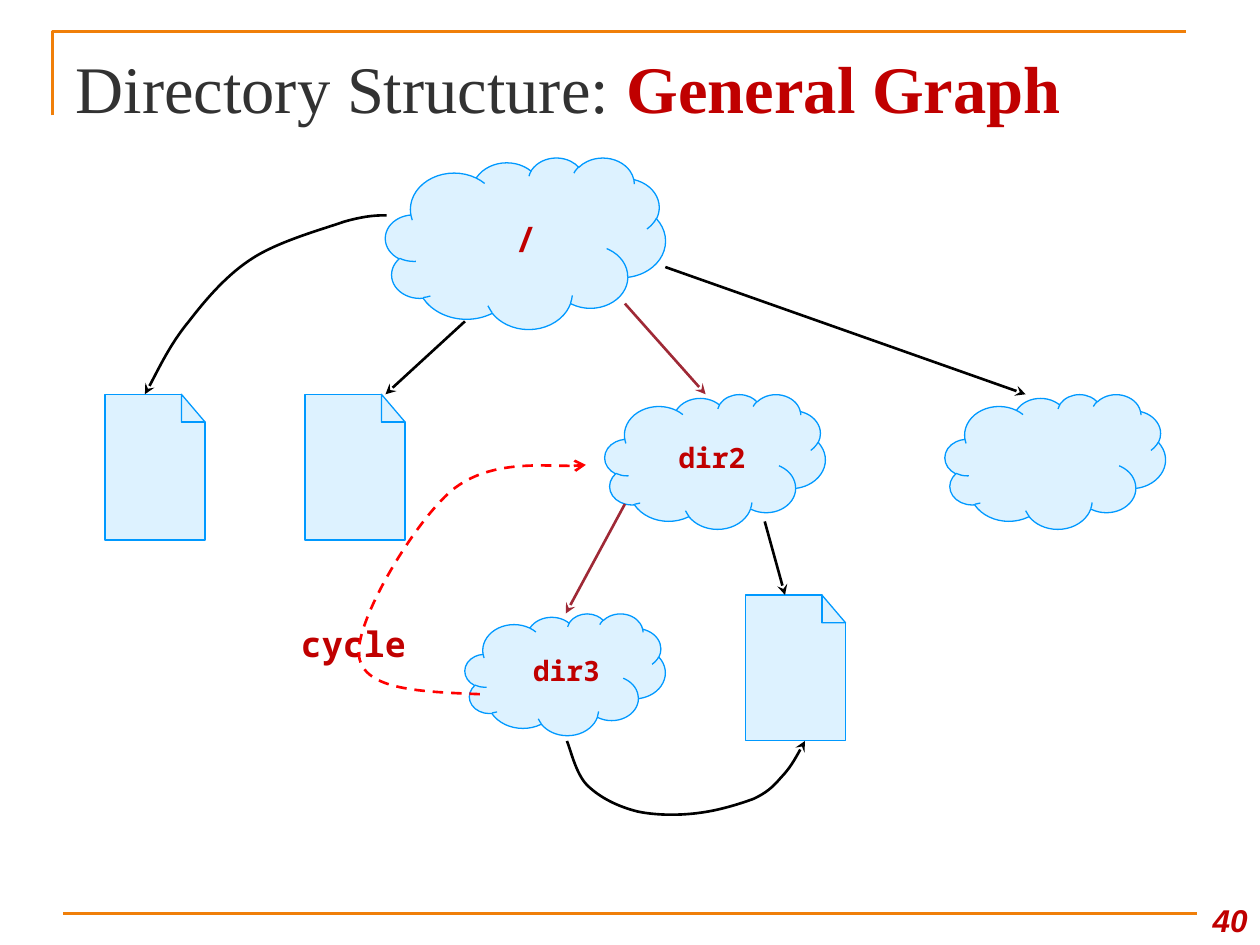
import pptx
import pptx.dml.color
import pptx.enum.dml
import pptx.enum.shapes
import pptx.enum.text
import pptx.oxml.ns
import pptx.util
from dataclasses import dataclass
from lxml import etree

Pt = pptx.util.Pt
Align = pptx.enum.text.PP_ALIGN
Anchor = pptx.enum.text.MSO_ANCHOR
qn = pptx.oxml.ns.qn


@dataclass(frozen=True)
class Theme:
    rule: str = "F07F09"
    title: str = "323232"
    accent: str = "C00000"
    node_fill: str = "DDF2FF"
    node_line: str = "0099FF"
    link: str = "000000"
    path_link: str = "9F2936"
    cycle: str = "FF0000"
    title_font: str = "Times New Roman"
    label_font: str = "Noto Sans Mono"
    number_font: str = "Arial"
    title_size: float = 38
    large_size: float = 20
    number_size: float = 18
    label_size: float = 16
    thin: float = 0.75
    thick: float = 1.5


THEME = Theme()


def rgb(color):
    return pptx.dml.color.RGBColor.from_string(color)


def add_text(paragraph, text, *, size, font, color, bold=False, italic=False, align=Align.LEFT):
    paragraph.alignment = align
    run = paragraph.add_run()
    run.text = text
    run.font.size = Pt(size)
    run.font.name = font
    run.font.color.rgb = rgb(color)
    run.font.bold = bold
    run.font.italic = italic


def add_label(slide, box, text, *, wrap=False, anchor=Anchor.TOP, **text_format):
    frame = slide.shapes.add_textbox(*map(Pt, box)).text_frame
    frame.word_wrap = wrap
    frame.vertical_anchor = anchor
    add_text(frame.paragraphs[0], text, **text_format)


def style_line(shape, color, width, arrow=None, dashed=False):
    shape.line.color.rgb = rgb(color)
    shape.line.width = Pt(width)
    if dashed:
        shape.line.dash_style = pptx.enum.dml.MSO_LINE.DASH
    if arrow:
        outline = next(shape.element.iter(qn("a:ln")))
        etree.SubElement(outline, qn("a:tailEnd"), type=arrow)


def style_node(shape):
    shape.shadow.inherit = False
    shape.fill.solid()
    shape.fill.fore_color.rgb = rgb(THEME.node_fill)
    style_line(shape, THEME.node_line, THEME.thin)


def add_straight(slide, start, end, color, arrow=None):
    connector = slide.shapes.add_connector(
        pptx.enum.shapes.MSO_CONNECTOR.STRAIGHT, *map(Pt, (*start, *end)))
    style_line(connector, color, THEME.thick, arrow)
    etree.SubElement(connector.element.spPr, qn("a:effectLst"))


def add_outline(slide, contours, closed=False):
    """Draw one freeform whose contours are lists of points."""
    contours = [[(Pt(x), Pt(y)) for x, y in contour] for contour in contours]
    builder = slide.shapes.build_freeform(*contours[0][0])
    for index, contour in enumerate(contours):
        if index:
            builder.move_to(*contour[0])
        builder.add_line_segments(contour[1:], close=closed)
    shape = builder.convert_to_shape()
    shape.shadow.inherit = False
    return shape


def add_curve(slide, points, color, arrow, dashed=False):
    """Draw Bezier segments: a start point, then three points a segment."""
    shape = add_outline(slide, [points])
    shape.fill.background()
    segments = list(shape.element.iter(qn("a:lnTo")))
    for index in range(0, len(segments), 3):
        curve = etree.Element(qn("a:cubicBezTo"))
        segments[index].addprevious(curve)
        for segment in segments[index:index + 3]:
            curve.append(segment[0])
            segment.getparent().remove(segment)
    style_line(shape, color, THEME.thick, arrow, dashed)


def add_cloud(slide, box):
    style_node(slide.shapes.add_shape(pptx.enum.shapes.MSO_SHAPE.CLOUD, *map(Pt, box)))


def add_document(slide, left, top, width=57.2, height=83.3):
    """Draw a page with its top right corner folded."""
    right, bottom = left + width, top + height
    fold_x, fold_y = right - 13.5, top + 15.9
    page = [(left, top), (fold_x, top), (fold_x, fold_y), (right, fold_y),
            (right, bottom), (left, bottom)]
    corner = [(fold_x, top), (right, fold_y), (fold_x, fold_y)]
    style_node(add_outline(slide, [page, corner], closed=True))


def draw_frame(slide, left, top, width, height):
    right, bottom = left + width, top + height
    corner = add_outline(slide, [[(left, top + 48), (left, top), (right - 6, top)]])
    corner.fill.background()
    style_line(corner, THEME.rule, THEME.thick)
    add_straight(slide, (left + 6, bottom), (right, bottom), THEME.rule)


def draw_title(slide, left, top, width, height):
    title = slide.shapes.title
    title.left, title.top, title.width, title.height = map(Pt, (left, top, width, height))
    frame = title.text_frame
    frame.auto_size = pptx.enum.text.MSO_AUTO_SIZE.NONE
    frame.vertical_anchor = Anchor.MIDDLE
    shared = dict(size=THEME.title_size, font=THEME.title_font)
    add_text(frame.paragraphs[0], "Directory Structure: ", color=THEME.title, **shared)
    add_text(frame.paragraphs[0], "General Graph", color=THEME.accent, bold=True, **shared)


def draw_graph(slide, left, top):
    def shift(x, y, *size):
        return (left + x, top + y, *size)

    level = 135.3
    for cloud in ((160.3, 0, 160, 98), (285.6, level, 126, 77),
                  (480, level, 126, 77), (205.7, 260.6, 114.5, 69.6)):
        add_cloud(slide, shift(*cloud))
    for document in ((0, level), (114.3, level), (366, 250)):
        add_document(slide, *shift(*document))

    for start, end, color in (
        ((297.1, 198), (263.3, 260.6), THEME.path_link),
        ((297.1, 83.5), (343.2, level), THEME.path_link),
        ((205.7, 93.6), (160.3, level), THEME.link),
        ((320.2, 62.6), (526.1, level), THEME.link),
        ((377, 208), (388.6, 250), THEME.link),
    ):
        add_straight(slide, shift(*start), shift(*end), color, "stealth")

    for box, text, size, align in (
        ((227.3, 31, 26.6, 31.7), "/", THEME.large_size, Align.CENTER),
        ((320.2, 158.4, 53.3, 26.6), "dir2", THEME.label_size, Align.CENTER),
        ((236.6, 280, 53.3, 26.6), "dir3", THEME.label_size, Align.RIGHT),
        ((104.9, 262, 74.9, 31.7), "cycle", THEME.large_size, Align.LEFT),
    ):
        add_label(slide, shift(*box), text, size=size, align=align,
                  font=THEME.label_font, color=THEME.accent, bold=True)

    dir3_to_document = [
        (264, 333.4), (266, 338), (269, 352), (275.5, 358.6), (283, 366), (293.5, 371),
        (304.3, 373.7), (315, 376), (329, 376), (340.3, 374.4), (351, 373), (362.6, 369.4),
        (370.6, 366.5), (378, 363), (381.4, 360), (386.4, 354.2), (391.4, 349),
        (395.8, 341.3), (400, 333.4)]
    root_to_document = [
        (161, 33.1), (156.7, 33), (149.5, 33), (136.6, 36.7), (124.3, 41), (100.6, 47.5),
        (85.4, 56.9), (70.3, 66.2), (58, 80.6), (48, 93.6), (37.2, 106.6), (27.8, 126.7),
        (22.8, level)]
    dir3_to_dir2 = [
        (214.3, 306.7), (181.2, 305.3), (148, 304.6), (145.2, 285.1), (142.3, 265.7),
        (176.9, 208), (198.5, 190), (220.8, 172), (262.6, 177.8), (274.8, 175.7)]
    for points, color, arrow, dashed in (
        (dir3_to_document, THEME.link, "stealth", False),
        (root_to_document, THEME.link, "stealth", False),
        (dir3_to_dir2, THEME.cycle, "arrow", True),
    ):
        add_curve(slide, [shift(*point) for point in points], color, arrow, dashed)


def draw_page_number(slide, *box):
    add_label(slide, box, "40", wrap=True, anchor=Anchor.BOTTOM, align=Align.RIGHT,
              size=THEME.number_size, font=THEME.number_font, color=THEME.accent,
              bold=True, italic=True)


def main():
    presentation = pptx.Presentation()
    presentation.slide_width, presentation.slide_height = Pt(720), Pt(540)
    slide = presentation.slides.add_slide(presentation.slide_layouts.get_by_name("Title Only"))
    draw_frame(slide, 30, 18, 654, 504)
    draw_title(slide, 36, 21.6, 648, 56.2)
    draw_graph(slide, 60, 90)
    draw_page_number(slide, 678, 504, 42, 36)
    presentation.save("out.pptx")


if __name__ == "__main__":
    main()
